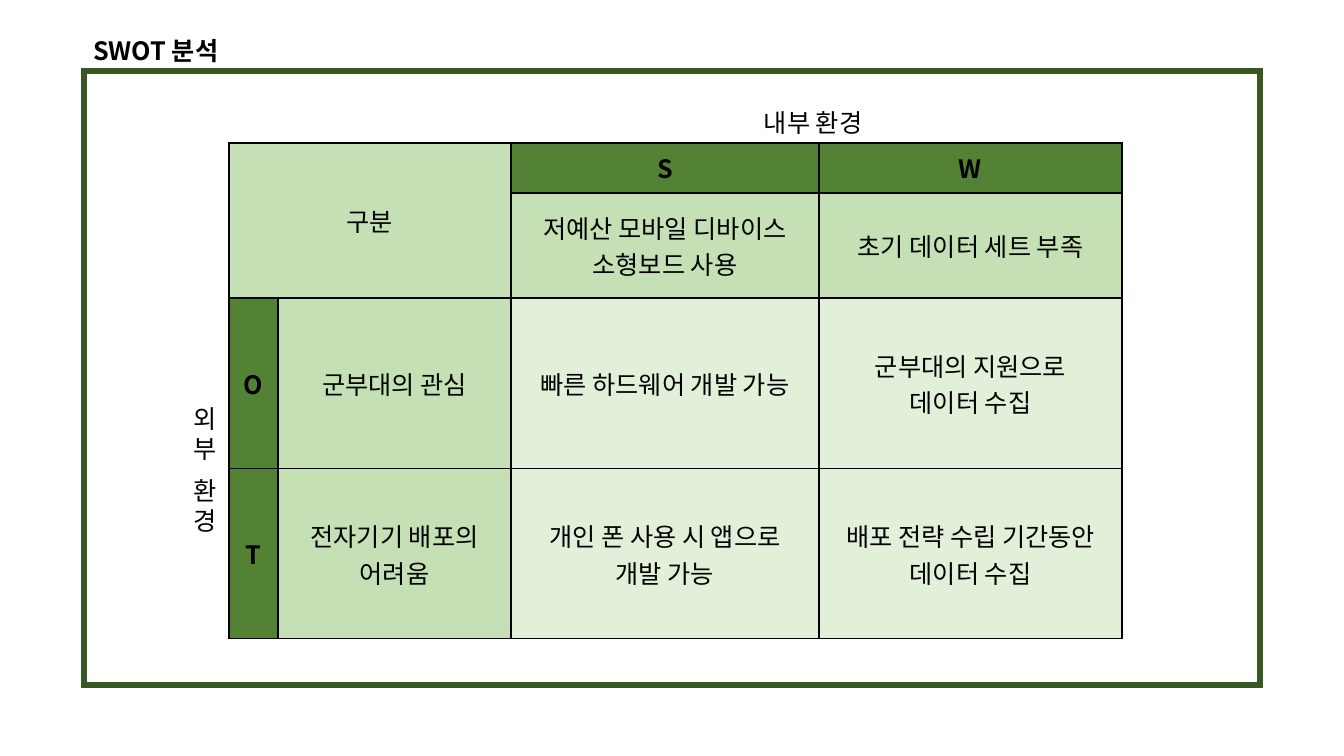
from lxml import etree
from pptx import Presentation
from pptx.dml.color import RGBColor
from pptx.enum.shapes import MSO_SHAPE
from pptx.enum.text import MSO_ANCHOR, MSO_AUTO_SIZE, PP_ALIGN
from pptx.oxml.ns import qn
from pptx.util import Pt

PX = 914400 / 100.8
FONT = "Noto Sans CJK KR"

BLACK = RGBColor(0x00, 0x00, 0x00)
FRAME_GREEN = RGBColor(0x38, 0x57, 0x23)
DARK_GREEN = RGBColor(0x54, 0x82, 0x35)
MID_GREEN = RGBColor(0xC5, 0xE0, 0xB4)
PALE_GREEN = RGBColor(0xE2, 0xF0, 0xD9)

HEADING = ("SWOT 분석", (83, 30, 154, 40))
INTERNAL = ("내부 환경", (754, 102, 131, 40))
EXTERNAL = ("외\n부\n환\n경", (184, 398, 46, 149))
FRAME = (84, 71, 1176, 614)

TABLE_LEFT, TABLE_TOP = 229, 143
COLUMNS = (49, 233, 308, 303)
ROWS = (50, 105, 171, 170)
SWOT = [
    ["구분", "", "S", "W"],
    ["", "", "저예산 모바일 디바이스\n소형보드 사용", "초기 데이터 세트 부족"],
    ["O", "군부대의 관심", "빠른 하드웨어 개발 가능", "군부대의 지원으로\n데이터 수집"],
    ["T", "전자기기 배포의 어려움", "개인 폰 사용 시 앱으로\n개발 가능",
     "배포 전략 수립 기간동안\n데이터 수집"],
]


def emu(*lengths):
    return [round(length * PX) for length in lengths]


def write(text_frame, text, align=PP_ALIGN.LEFT, bold=False):
    text_frame.text = text
    for paragraph in text_frame.paragraphs:
        paragraph.alignment = align
        for run in paragraph.runs:
            run.font.name = FONT
            run.font.size = Pt(18)
            run.font.bold = bold
            run.font.color.rgb = BLACK
            east_asian = etree.Element(qn("a:ea"), typeface=FONT)
            run.font._element.find(qn("a:latin")).addnext(east_asian)


def write_label(shape, text, bold=False):
    write(shape.text_frame, text, bold=bold)
    shape.text_frame.word_wrap = False
    shape.text_frame.auto_size = MSO_AUTO_SIZE.SHAPE_TO_FIT_TEXT
    shape.text_frame.vertical_anchor = MSO_ANCHOR.TOP


def add_label(slide, text, box):
    label = slide.shapes.add_textbox(*emu(*box))
    write_label(label, text)
    return label


def add_borders(cell):
    properties = cell._tc.get_or_add_tcPr()
    for side in ("lnL", "lnR", "lnT", "lnB"):
        border = etree.SubElement(properties, qn(f"a:{side}"), w=str(Pt(1)))
        fill = etree.SubElement(border, qn("a:solidFill"))
        etree.SubElement(fill, qn("a:srgbClr"), val=str(BLACK))


def cell_color(row, column):
    if row >= 2 and column >= 2:
        return PALE_GREEN
    is_letter = (row == 0 and column >= 2) or (row >= 2 and column == 0)
    return DARK_GREEN if is_letter else MID_GREEN


def add_swot_table(slide):
    table = slide.shapes.add_table(
        len(ROWS), len(COLUMNS),
        *emu(TABLE_LEFT, TABLE_TOP, sum(COLUMNS), sum(ROWS))).table
    table.first_row = table.horz_banding = False
    for column, width in zip(table.columns, emu(*COLUMNS)):
        column.width = width
    for row, height in zip(table.rows, emu(*ROWS)):
        row.height = height
    table.cell(0, 0).merge(table.cell(1, 1))
    for r, texts in enumerate(SWOT):
        for c, text in enumerate(texts):
            cell = table.cell(r, c)
            color = cell_color(r, c)
            add_borders(cell)
            cell.fill.solid()
            cell.fill.fore_color.rgb = color
            cell.vertical_anchor = MSO_ANCHOR.MIDDLE
            if text:
                write(cell.text_frame, text, PP_ALIGN.CENTER, color == DARK_GREEN)


def main():
    presentation = Presentation()
    presentation.slide_width, presentation.slide_height = emu(1344, 756)
    slide = presentation.slides.add_slide(presentation.slide_layouts[5])

    heading = slide.shapes.title
    text, box = HEADING
    heading.left, heading.top, heading.width, heading.height = emu(*box)
    write_label(heading, text, bold=True)

    frame = slide.shapes.add_shape(MSO_SHAPE.RECTANGLE, *emu(*FRAME))
    frame.shadow.inherit = False
    frame.fill.background()
    frame.line.color.rgb = FRAME_GREEN
    frame.line.width = Pt(4.5)
    outline = frame._element.spPr.find(qn("a:ln"))
    etree.SubElement(outline, qn("a:miter"), lim="800000")

    add_swot_table(slide)
    add_label(slide, *INTERNAL)
    external = add_label(slide, *EXTERNAL)
    external.text_frame.paragraphs[2].space_before = Pt(8.5)

    presentation.save("out.pptx")


if __name__ == "__main__":
    main()
